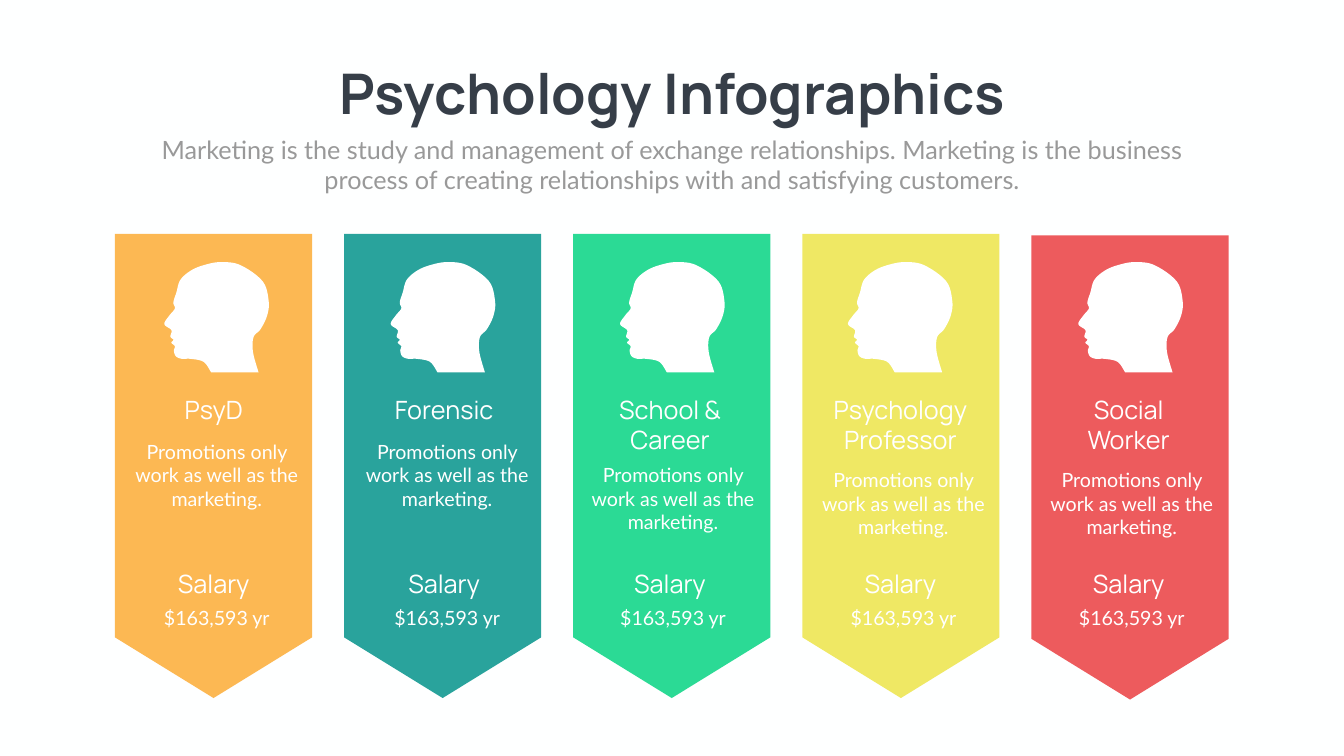
from collections import namedtuple

from pptx import Presentation
from pptx.dml.color import RGBColor
from pptx.enum.shapes import MSO_SHAPE
from pptx.enum.text import MSO_AUTO_SIZE, PP_ALIGN
from pptx.util import Inches, Pt

PENTAGON = MSO_SHAPE.PENTAGON
CENTER = PP_ALIGN.CENTER
GROW = MSO_AUTO_SIZE.SHAPE_TO_FIT_TEXT

BACKGROUND = RGBColor.from_string("FEFFFF")
WHITE = RGBColor.from_string("FFFFFF")
SLATE = RGBColor.from_string("363E48")
GRAY = RGBColor.from_string("999999")
ORANGE = RGBColor.from_string("FCB853")
TEAL = RGBColor.from_string("29A39C")
GREEN = RGBColor.from_string("2BDA95")
YELLOW = RGBColor.from_string("EFE864")
RED = RGBColor.from_string("ED5B5D")

HEADING_FONT = "Manrope"
BODY_FONT = "Lato"

BANNER_LENGTH, BANNER_WIDTH = 9.21, 3.91
BANNER_LEFT, BANNER_PITCH = -0.37, 4.545
CARD_WIDTH = 3.68
BODY_SHIFT = 0.06
HEAD_TOP = 5.2
CURVE_STEPS = 6

Career = namedtuple(
    "Career", "title color head_left text_left body_top title_height title_width banner_top",
    defaults=(1.31, CARD_WIDTH, 7.29))
CAREERS = [
    Career("PsyD", ORANGE, 3.26, 2.4, 8.67, title_height=0.71),
    Career("Forensic", TEAL, 7.75, 6.97, 8.67, title_height=0.71),
    Career("School & Career", GREEN, 12.3, 11.45, 9.14),
    Career("Psychology Professor", YELLOW, 16.82, 16.02, 9.24),
    Career("Social Worker", RED, 21.39, 20.55, 9.24, title_width=2.7, banner_top=7.32),
]

HEAD_KNOTS = [
    (187, 219), (176, 179), (177, 149), (191, 133), (204, 106), (207, 77), (195, 38),
    (151, 6), (113, 0), (82, 5), (54, 16), (32, 35), (24, 60), (18, 80), (21, 92),
    (10, 106), (0, 123), (14, 135), (12, 148), (18, 154), (14, 160), (21, 167),
    (19, 176), (23, 187), (35, 192), (52, 192), (78, 198), (93, 219),
]


def add_text(shapes, text, left, top, width, height, *, size, font, color=WHITE,
             bold=False, wrap=True):
    """Add a centred text box, placed in inches."""
    box = shapes.add_textbox(Inches(left), Inches(top), Inches(width), Inches(height))
    frame = box.text_frame
    frame.word_wrap = wrap
    frame.auto_size = GROW
    paragraph = frame.paragraphs[0]
    paragraph.alignment = CENTER
    run = paragraph.add_run()
    run.text = text
    run.font.size = Pt(size)
    run.font.name = font
    run.font.bold = bold
    run.font.color.rgb = color


def paint(shape, color):
    """Give a shape a flat fill with no line or shadow."""
    shape.shadow.inherit = False
    shape.fill.solid()
    shape.fill.fore_color.rgb = color
    shape.line.fill.background()


def add_banner(shapes, left, top, color):
    """Add a pentagon banner that points down."""
    banner = shapes.add_shape(PENTAGON, Inches(left), Inches(top),
                              Inches(BANNER_LENGTH), Inches(BANNER_WIDTH))
    banner.rotation = 90
    banner.adjustments[0] = 0.308
    paint(banner, color)


def smooth(knots):
    """Return points along a Catmull-Rom curve through the knots."""
    padded = [knots[0], *knots, knots[-1]]
    points = [knots[0]]
    for before, start, end, after in zip(padded, padded[1:], padded[2:], padded[3:]):
        for step in range(1, CURVE_STEPS + 1):
            t = step / CURVE_STEPS
            points.append(tuple(
                b + t / 2 * (c - a + t * (2 * a - 5 * b + 4 * c - d
                                          + t * (3 * b - a - 3 * c + d)))
                for a, b, c, d in zip(before, start, end, after)))
    return points


def add_head(shapes, left):
    """Add a white head silhouette in profile."""
    points = [(Inches(left + x / 100), Inches(HEAD_TOP + y / 100))
              for x, y in smooth(HEAD_KNOTS)]
    builder = shapes.build_freeform(*points[0])
    builder.add_line_segments(points[1:], close=True)
    paint(builder.convert_to_shape(), WHITE)


def add_card_text(shapes, career):
    """Add the title, description and salary of a career."""
    left, body_left = career.text_left, career.text_left + BODY_SHIFT
    title_left = left + (CARD_WIDTH - career.title_width) / 2
    heading = {"size": 36, "font": HEADING_FONT}
    body = {"size": 28, "font": BODY_FONT}
    add_text(shapes, career.title, title_left, 7.77,
             career.title_width, career.title_height, **heading)
    add_text(shapes, "Promotions only work as well as the marketing.",
             body_left, career.body_top, CARD_WIDTH, 1.51, **body)
    add_text(shapes, "Salary", left, 11.23, CARD_WIDTH, 0.71, **heading)
    add_text(shapes, "$163,593 yr", body_left, 11.97, CARD_WIDTH, 0.57, **body)


def main():
    """Build the slide and save it."""
    deck = Presentation()
    deck.slide_width, deck.slide_height = Inches(26.66), Inches(15)
    slide = deck.slides.add_slide(deck.slide_layouts[6])
    slide.background.fill.solid()
    slide.background.fill.fore_color.rgb = BACKGROUND
    shapes = slide.shapes

    add_text(shapes, "Psychology Infographics", 6.08, 1.12, 14.51, 1.45,
             size=80, font=HEADING_FONT, color=SLATE, bold=True, wrap=False)
    add_text(shapes, "Marketing is the study and management of exchange relationships. "
             "Marketing is the business process of creating relationships with and "
             "satisfying customers.", 2.92, 2.61, 20.82, 1.31,
             size=36, font=BODY_FONT, color=GRAY)

    banners = shapes.add_group_shape().shapes
    for index, career in enumerate(CAREERS):
        add_banner(banners, BANNER_LEFT + index * BANNER_PITCH,
                   career.banner_top, career.color)
    for career in CAREERS:
        add_head(shapes, career.head_left)
    for career in CAREERS:
        add_card_text(shapes.add_group_shape().shapes, career)

    deck.save("out.pptx")


if __name__ == "__main__":
    main()
